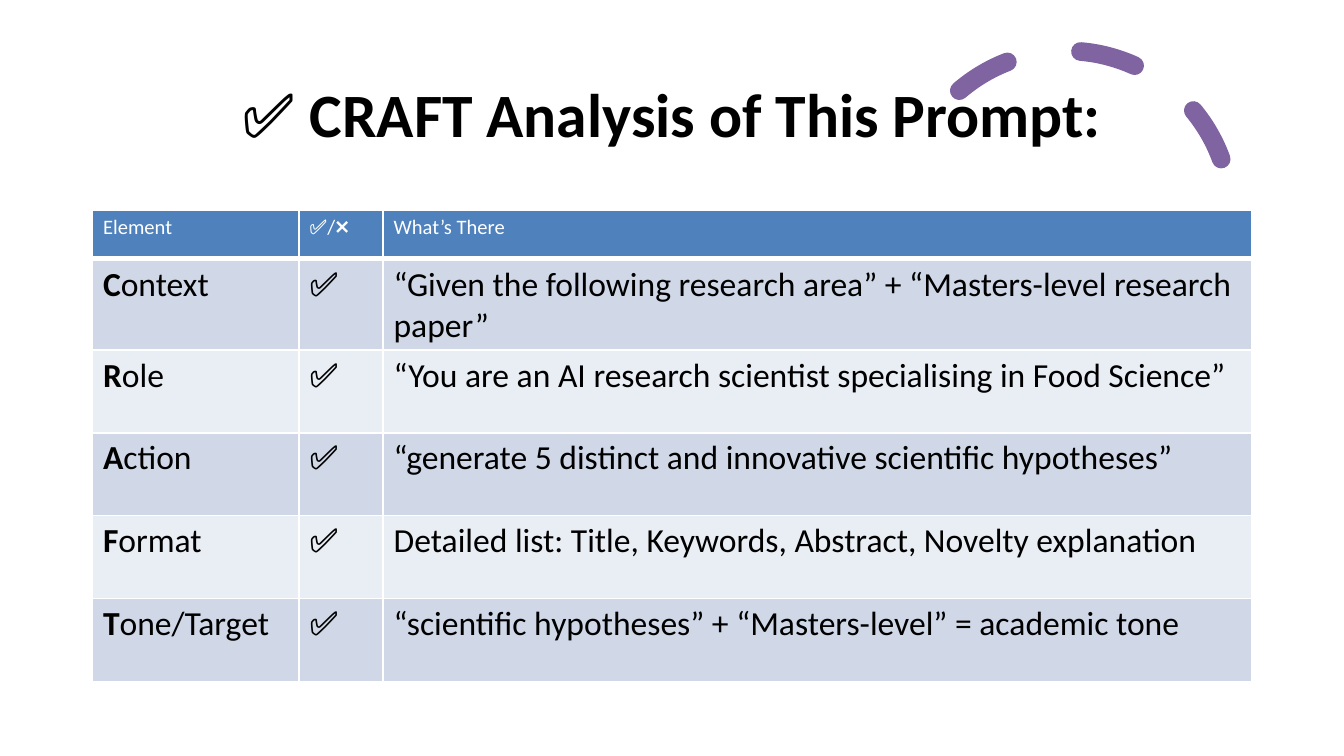
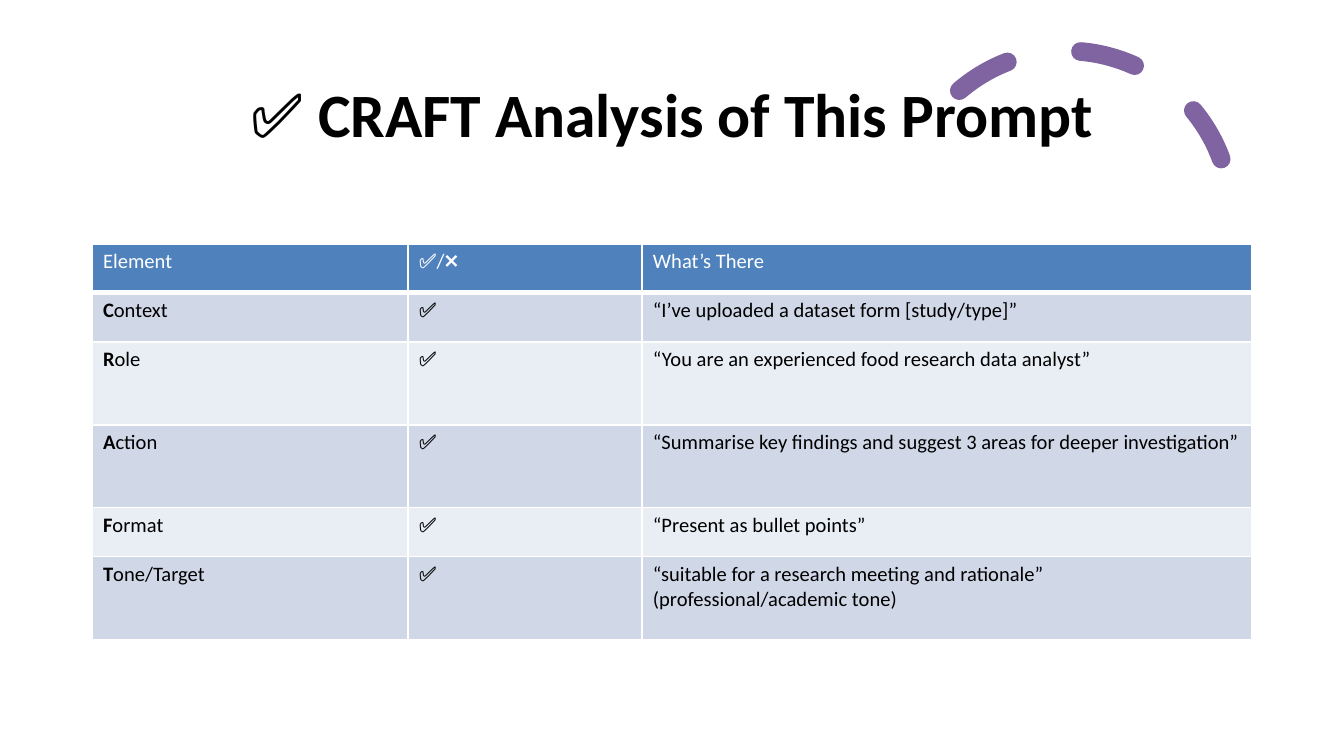
from lxml import etree
from pptx import Presentation
from pptx.dml.color import RGBColor
from pptx.enum.dml import MSO_LINE
from pptx.enum.shapes import MSO_SHAPE
from pptx.enum.text import MSO_ANCHOR, PP_ALIGN
from pptx.oxml.ns import qn
from pptx.util import Pt

ARC = MSO_SHAPE.ARC
DASH = MSO_LINE.DASH
MIDDLE = MSO_ANCHOR.MIDDLE
TOP = MSO_ANCHOR.TOP
CENTER = PP_ALIGN.CENTER
LEFT = PP_ALIGN.LEFT

BLACK = RGBColor(0x00, 0x00, 0x00)
WHITE = RGBColor(0xFF, 0xFF, 0xFF)
PURPLE = RGBColor(0x80, 0x64, 0xA2)
HEADER_BLUE = RGBColor(0x4F, 0x81, 0xBD)
BANDS = (RGBColor(0xD0, 0xD8, 0xE8), RGBColor(0xE9, 0xED, 0xF4))

FONT = "Calibri"
CHECK = "✅"
HEADINGS = ("Element", "✅/❌", "What’s There")
ELEMENTS = ("Context", "Role", "Action", "Format", "Tone/Target")

SLIDE_SIZE = (720, 405)
MARGIN = 49.5
TABLE_WIDTH = SLIDE_SIZE[0] - 2 * MARGIN
TITLE_BOX = (MARGIN, 21.6, TABLE_WIDTH, 78.3)
ARC_BOX = (483.2, 27.3, 176.4, 176.4)
SHORT_ROW = 26.3
TALL_ROW = 44.4

ANALYSES = (
    {
        "title": "CRAFT Analysis of This Prompt:",
        "top": 112.4,
        "columns": (110.6, 45.1, 465.3),
        "rows": (SHORT_ROW,) + (TALL_ROW,) * 5,
        "size": 18,
        "findings": (
            "“Given the following research area” + “Masters-level research paper”",
            "“You are an AI research scientist specialising in Food Science”",
            "“generate 5 distinct and innovative scientific hypotheses”",
            "Detailed list: Title, Keywords, Abstract, Novelty explanation",
            "“scientific hypotheses” + “Masters-level” = academic tone",
        ),
    },
    {
        "title": "CRAFT Analysis of This Prompt",
        "top": 130.6,
        "columns": (169.2, 125.4, 326.4),
        "rows": (SHORT_ROW, SHORT_ROW, TALL_ROW, TALL_ROW, SHORT_ROW, TALL_ROW),
        "size": 11,
        "findings": (
            "“I’ve uploaded a dataset form [study/type]”",
            "“You are an experienced food research data analyst”",
            "“Summarise key findings and suggest 3 areas for deeper investigation”",
            "“Present as bullet points”",
            "“suitable for a research meeting and rationale” (professional/academic tone)",
        ),
    },
)


def write_text(frame, pieces, size=11, color=BLACK, align=LEFT):
    frame.word_wrap = True
    paragraph = frame.paragraphs[0]
    paragraph.alignment = align
    for words, bold in pieces:
        run = paragraph.add_run()
        run.text = words
        run.font.name = FONT
        run.font.size = Pt(size)
        run.font.bold = bold
        run.font.color.rgb = color


def set_borders(cell, bottom=1):
    properties = cell._tc.get_or_add_tcPr()
    widths = {"a:lnL": 1, "a:lnR": 1, "a:lnT": 1, "a:lnB": bottom}
    for position, (side, width) in enumerate(widths.items()):
        border = etree.Element(qn(side), w=str(Pt(width)))
        fill = etree.SubElement(border, qn("a:solidFill"))
        etree.SubElement(fill, qn("a:srgbClr"), val=str(WHITE))
        properties.insert(position, border)


def fill_cell(cell, pieces, fill, bottom=1, **text_format):
    cell.margin_left = cell.margin_right = Pt(5.7)
    cell.margin_top = cell.margin_bottom = Pt(2.8)
    cell.vertical_anchor = TOP
    cell.fill.solid()
    cell.fill.fore_color.rgb = fill
    set_borders(cell, bottom)
    write_text(cell.text_frame, pieces, **text_format)


def add_dashed_arc(slide, box):
    arc = slide.shapes.add_shape(ARC, *map(Pt, box))
    arc.shadow.inherit = False
    arc.rotation = 345.8
    arc.adjustments[0] = 146.13
    arc.adjustments[1] = 0
    arc.fill.background()
    arc.line.color.rgb = PURPLE
    arc.line.width = Pt(10)
    arc.line.dash_style = DASH
    arc._element.spPr.find(qn("a:ln")).set("cap", "rnd")


def add_title(slide, box, title):
    heading = slide.shapes.add_textbox(*map(Pt, box))
    heading.text_frame.vertical_anchor = MIDDLE
    pieces = ((CHECK + " ", False), (title, True))
    write_text(heading.text_frame, pieces, size=33, align=CENTER)


def add_craft_table(slide, box, columns, rows, findings, size):
    table = slide.shapes.add_table(len(rows), len(columns), *map(Pt, box)).table
    for column, width in zip(table.columns, columns):
        column.width = Pt(width)
    for row, height in zip(table.rows, rows):
        row.height = Pt(height)
    for column, heading in enumerate(HEADINGS):
        fill_cell(table.cell(0, column), ((heading, False),), HEADER_BLUE,
                  bottom=3, color=WHITE)
    for row, (element, finding) in enumerate(zip(ELEMENTS, findings), start=1):
        band = BANDS[(row - 1) % 2]
        initial = ((element[0], True), (element[1:], False))
        contents = (initial, ((CHECK, False),), ((finding, False),))
        for column, pieces in enumerate(contents):
            fill_cell(table.cell(row, column), pieces, band, size=size)


def add_analysis_slide(deck, title, top, columns, rows, findings, size):
    slide = deck.slides.add_slide(deck.slide_layouts[6])
    add_dashed_arc(slide, ARC_BOX)
    add_title(slide, TITLE_BOX, title)
    table_box = (MARGIN, top, TABLE_WIDTH, sum(rows))
    add_craft_table(slide, table_box, columns, rows, findings, size)


def main():
    deck = Presentation()
    deck.slide_width, deck.slide_height = map(Pt, SLIDE_SIZE)
    for analysis in ANALYSES:
        add_analysis_slide(deck, **analysis)
    deck.save("out.pptx")


if __name__ == "__main__":
    main()
